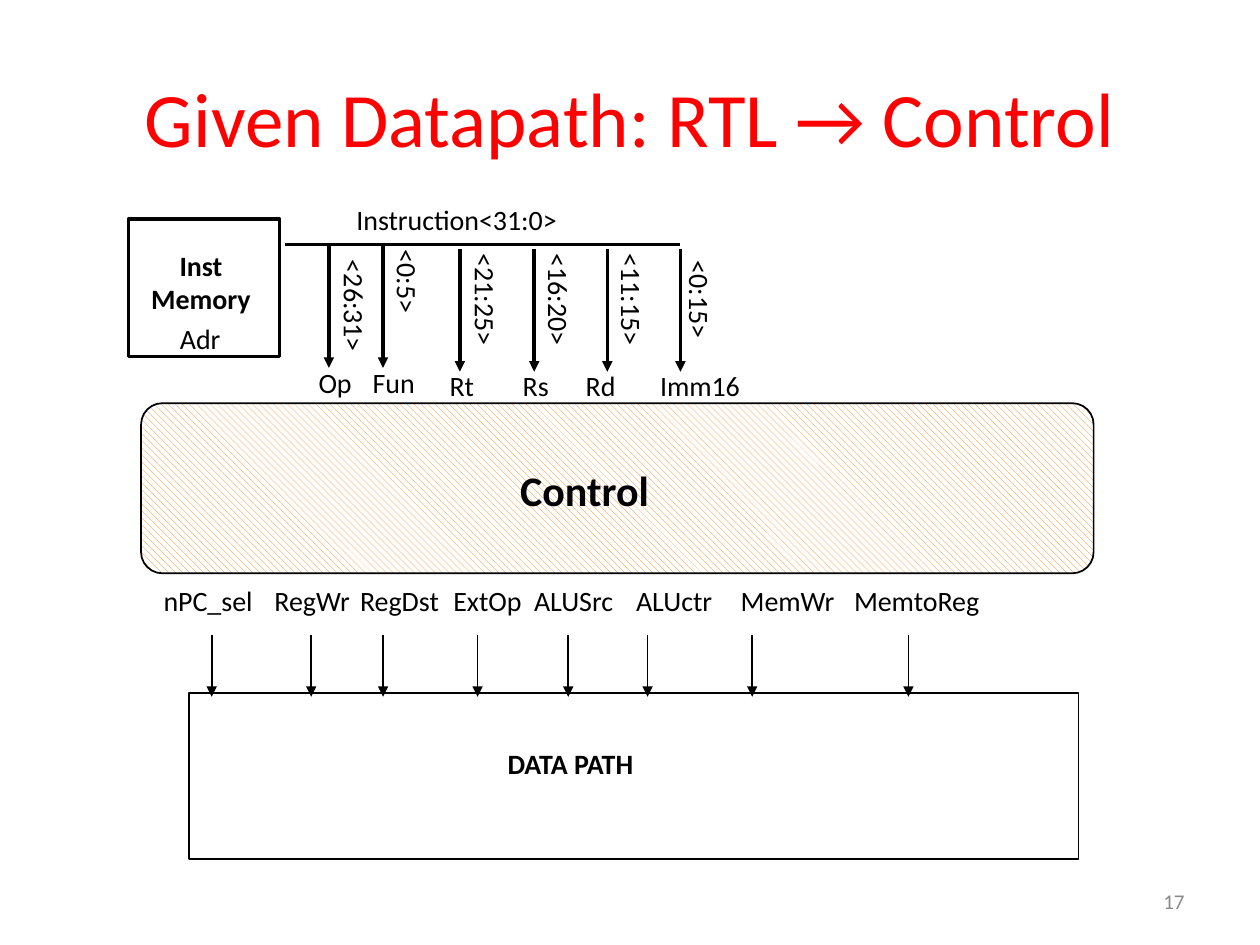
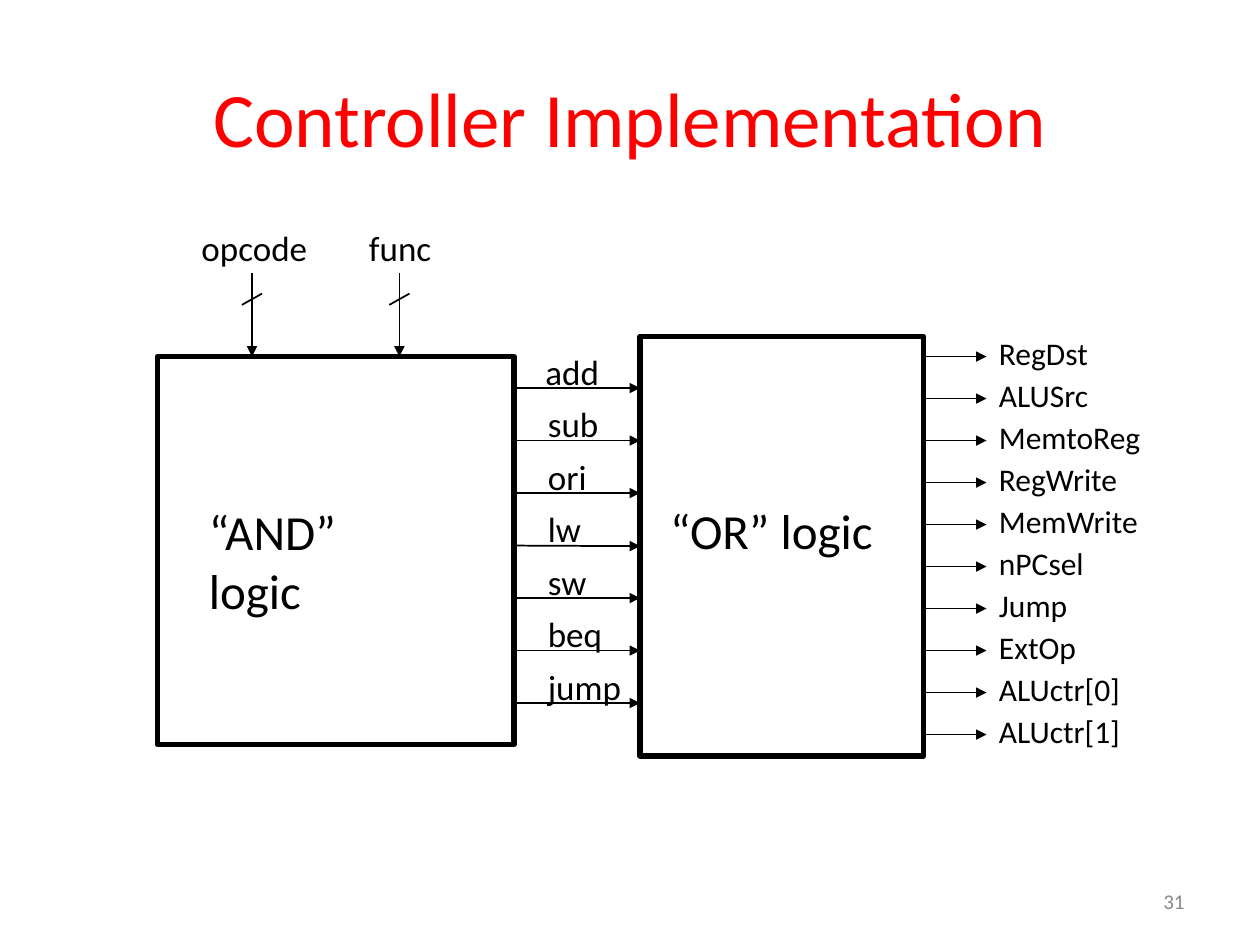
from dataclasses import dataclass

from lxml import etree
from pptx import Presentation
from pptx import util as u
from pptx.dml.color import RGBColor
from pptx.enum import dml, shapes, text
from pptx.oxml.ns import qn

COLOURS = {"title": "FF0000", "ink": "000000", "hatch": "FF8119",
           "paper": "FFFFFF", "number": "898989"}
FONT = "Calibri"
TITLE_ONLY = 5


@dataclass
class Box:
    left: float
    top: float
    width: float
    height: float

    @property
    def right(self):
        return self.left + self.width

    @property
    def bottom(self):
        return self.top + self.height

    def inner(self, x, y, width, height):
        return Box(self.left + x, self.top + y, width, height)

    def lengths(self):
        return [u.Inches(v) for v in (self.left, self.top, self.width, self.height)]


def colour(name):
    return RGBColor.from_string(COLOURS[name])


# Shared parts

def add_run(para, words, size, ink="ink", bold=False):
    span = para.add_run()
    span.text = words
    span.font.name = FONT
    span.font.size = u.Pt(size)
    span.font.bold = bold
    span.font.color.rgb = colour(ink)


def add_label(page, box, words, size, bold=False, wrap=False, align=None,
              turn=0, ink="ink", anchor=text.MSO_ANCHOR.TOP):
    label = page.shapes.add_textbox(*box.lengths())
    label.rotation = turn
    frame = label.text_frame
    frame.word_wrap = wrap
    frame.vertical_anchor = anchor
    if not wrap:
        frame.auto_size = text.MSO_AUTO_SIZE.SHAPE_TO_FIT_TEXT
    for index, line in enumerate(words.split("\n")):
        para = frame.add_paragraph() if index else frame.paragraphs[0]
        para.alignment = align
        add_run(para, line, size, ink, bold)


def add_block(page, box, weight, kind=shapes.MSO_SHAPE.RECTANGLE):
    block = page.shapes.add_shape(kind, *box.lengths())
    block.shadow.inherit = False
    block.fill.background()
    block.line.color.rgb = colour("ink")
    block.line.width = u.Pt(weight)
    return block


def add_line(page, x1, y1, x2, y2, weight=1, arrow=True):
    line = page.shapes.add_connector(
        shapes.MSO_CONNECTOR.STRAIGHT, *[u.Inches(v) for v in (x1, y1, x2, y2)])
    line.line.color.rgb = colour("ink")
    line.line.width = u.Pt(weight)
    properties = line._element.spPr
    if arrow:
        outline = properties.find(qn("a:ln"))
        etree.SubElement(outline, qn("a:tailEnd"), type="triangle")
    etree.SubElement(properties, qn("a:effectLst"))
    return line


def add_page(deck, heading, number):
    page = deck.slides.add_slide(deck.slide_layouts[TITLE_ONLY])
    title = page.shapes.title
    title.left, title.top, title.width, title.height = Box(0.5, 0.3, 9, 1.25).lengths()
    title.text_frame.vertical_anchor = text.MSO_ANCHOR.MIDDLE
    para = title.text_frame.paragraphs[0]
    para.alignment = text.PP_ALIGN.CENTER
    add_run(para, heading, 44, "title")
    add_label(page, Box(7.17, 6.95, 2.33, 0.4), number, 12, wrap=True, ink="number",
              align=text.PP_ALIGN.RIGHT, anchor=text.MSO_ANCHOR.MIDDLE)
    return page


# Datapath slide

def draw_memory(page, box):
    add_block(page, box, 2)
    add_label(page, box.inner(0.31, 0.76, 0.54, 0.36), "Adr", 16)
    add_label(page, box.inner(0.07, 0.18, 1.01, 0.63), "Inst\nMemory", 16, bold=True,
              align=text.PP_ALIGN.CENTER)


def draw_instruction_fields(page, box):
    add_line(page, box.left, box.top, box.right, box.top, 2, arrow=False)
    add_label(page, box.inner(0.47, -0.38, 1.81, 0.36), "Instruction<31:0>", 16)
    # arrow x, arrow y, bits, bits width, bits centre x and y, name, name x, name width
    fields = [
        (0.35, 0.01, "<26:31>", 0.95, 0.56, 0.5, "Op", 0.17, 0.47),
        (0.78, 0.01, "<0:5>", 0.73, 0.98, 0.31, "Fun", 0.6, 0.54),
        (1.39, 0.04, "<21:25>", 0.95, 1.6, 0.45, "Rt", 1.21, 0.41),
        (1.98, 0.04, "<16:20>", 0.95, 2.18, 0.45, "Rs", 1.79, 0.41),
        (2.56, 0.04, "<11:15>", 0.95, 2.76, 0.45, "Rd", 2.29, 0.46),
        (3.14, 0.04, "<0:15>", 0.84, 3.3, 0.45, "Imm16", 2.88, 0.84),
    ]
    for x, y, bits, bits_width, mid_x, mid_y, name, name_x, name_width in fields:
        start = box.top + y
        add_line(page, box.left + x, start, box.left + x, start + 0.97, 2)
        add_label(page, box.inner(mid_x - bits_width / 2, mid_y - 0.18, bits_width, 0.36),
                  bits, 16, turn=90)
        add_label(page, box.inner(name_x, y + 0.9, name_width, 0.36), name, 16)


def draw_control(page, box):
    block = add_block(page, box, 1, shapes.MSO_SHAPE.ROUNDED_RECTANGLE)
    block.adjustments[0] = 0.125
    block.fill.patterned()
    block.fill.pattern = dml.MSO_PATTERN.WIDE_DOWNWARD_DIAGONAL
    block.fill.fore_color.rgb = colour("hatch")
    block.fill.back_color.rgb = colour("paper")
    add_label(page, box.inner(2.91, 0.44, 1.23, 0.5), "Control", 24, bold=True)


def draw_control_signals(page, box):
    # name, label x, label width, arrow x
    signals = [
        ("nPC_sel", 0, 0.94, 0.48), ("RegWr", 0.88, 0.81, 1.27),
        ("RegDst", 1.56, 0.86, 1.84), ("ExtOp", 2.3, 0.78, 2.59),
        ("ALUSrc", 2.94, 0.85, 3.31), ("ALUctr", 3.75, 0.91, 3.94),
        ("MemWr", 4.58, 0.95, 4.77), ("MemtoReg", 5.48, 1.2, 6.01),
    ]
    for name, x, width, arrow_x in signals:
        add_label(page, box.inner(x, 0, width, 0.36), name, 16)
        add_line(page, box.left + arrow_x, box.top + 0.46, box.left + arrow_x, box.bottom)


def draw_data_path(page, box):
    add_block(page, box, 1)
    add_label(page, box.inner(2.43, 0.38, 1.21, 0.37), "DATA PATH", 16, bold=True)


def build_datapath(deck):
    page = add_page(deck, "Given Datapath: RTL → Control", "17")
    draw_memory(page, Box(1.02, 1.74, 1.2, 1.09))
    draw_instruction_fields(page, Box(2.26, 1.94, 3.14, 1.3))
    draw_control(page, Box(1.12, 3.2, 7.56, 1.35))
    draw_data_path(page, Box(1.5, 5.5, 7.06, 1.32))
    draw_control_signals(page, Box(1.2, 4.58, 6.68, 0.95))


# Controller slide

def draw_inputs(page, and_box):
    for name, label_x, width, arrow_x in [("opcode", 0.25, 1.05, 0.75),
                                          ("func", 1.58, 0.73, 1.92)]:
        add_label(page, and_box.inner(label_x, -1.08, width, 0.44), name, 20)
        x, top = and_box.left + arrow_x, and_box.top
        add_line(page, x, top - 0.66, x, top)
        add_line(page, x - 0.08, top - 0.41, x + 0.08, top - 0.5, arrow=False)


def draw_instructions(page, and_box, or_box, or_block):
    names = [("add", 0.63), ("sub", 0.61), ("ori", 0.51), ("lw", 0.47),
             ("sw", 0.51), ("beq", 0.64), ("jump", 0.8)]
    for index, (name, width) in enumerate(names):
        y = and_box.top + 0.25 + index * 2.5 / 6
        line = add_line(page, and_box.right, y, or_box.left, y)
        if name == "lw":
            line.end_connect(or_block, 1)
        x = 0.15 if name == "add" else 0.17
        add_label(page, Box(and_box.right + x, y - 0.35, width, 0.44), name, 20)


def draw_outputs(page, or_box):
    names = [("RegDst", 0.92), ("ALUSrc", 0.92), ("MemtoReg", 1.34), ("RegWrite", 1.15),
             ("MemWrite", 1.34), ("nPCsel", 0.88), ("Jump", 0.75), ("ExtOp", 0.82),
             ("ALUctr[0]", 1.17), ("ALUctr[1]", 1.17)]
    for index, (name, width) in enumerate(names):
        y = or_box.top + 0.16 + index / 3
        add_line(page, or_box.right, y, or_box.right + 0.5, y)
        add_label(page, Box(or_box.right + 0.5, y - 0.23, width, 0.4), name, 18)


def build_controller(deck):
    page = add_page(deck, "Controller Implementation", "31")
    and_box = Box(1.25, 2.83, 2.83, 3.08)
    or_box = Box(5.08, 2.67, 2.25, 3.33)
    add_block(page, and_box, 3)
    or_block = add_block(page, or_box, 3)
    add_label(page, and_box.inner(0.31, 1.1, 1.8, 1.03), "“AND” logic", 28, wrap=True)
    add_label(page, or_box.inner(0.14, 1.25, 1.83, 0.57), "“OR” logic", 28)
    draw_inputs(page, and_box)
    draw_instructions(page, and_box, or_box, or_block)
    draw_outputs(page, or_box)


def main():
    deck = Presentation()
    deck.slide_width, deck.slide_height = u.Inches(10), u.Inches(7.5)
    build_datapath(deck)
    build_controller(deck)
    deck.save("out.pptx")


if __name__ == "__main__":
    main()
